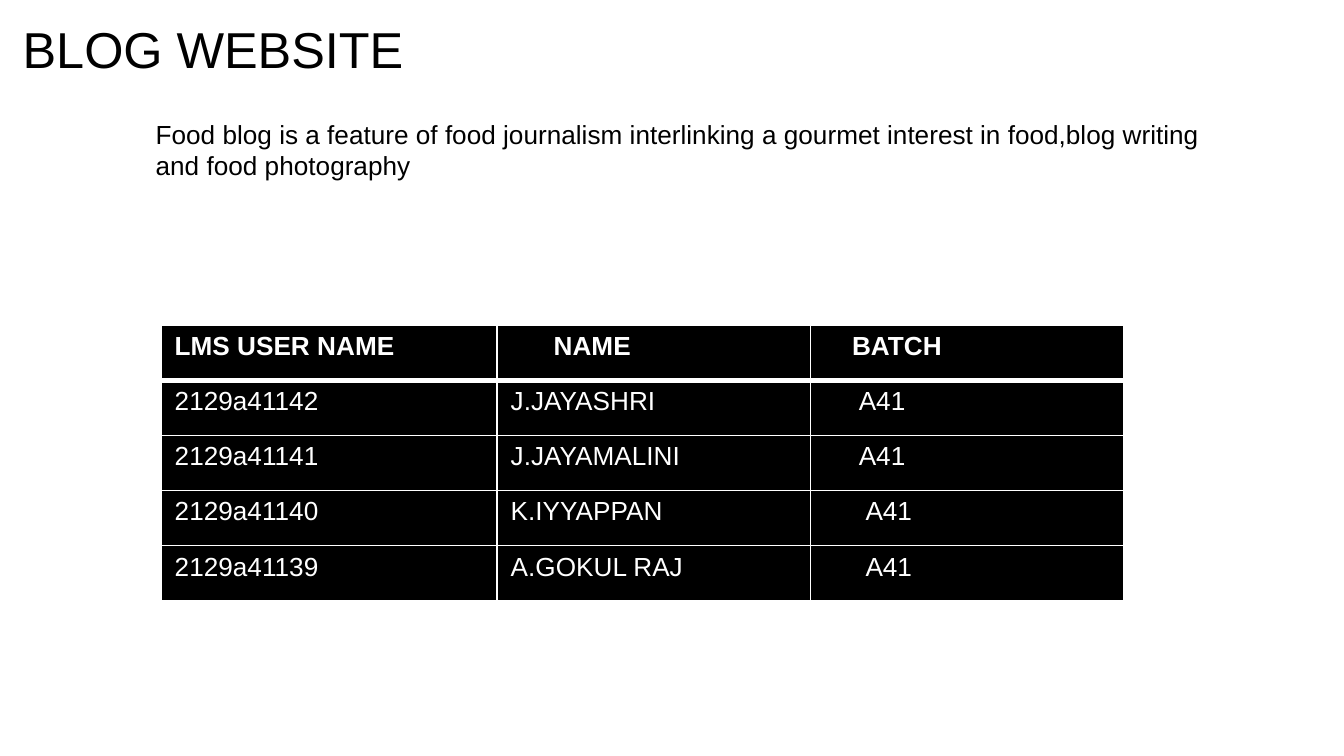
from dataclasses import dataclass

import pptx
import pptx.dml.color
import pptx.enum.text
import pptx.oxml
import pptx.oxml.ns
import pptx.util

Inches = pptx.util.Inches
Pt = pptx.util.Pt
BLACK = pptx.dml.color.RGBColor(0, 0, 0)
WHITE = pptx.dml.color.RGBColor(255, 255, 255)
ANCHOR = pptx.enum.text.MSO_ANCHOR


@dataclass
class TextBlock:
    left: float
    top: float
    width: float
    height: float
    lines: list[str]
    size: int
    anchor: ANCHOR


@dataclass
class Member:
    user: str
    name: str
    batch: str
    batch_inset: float
    name_inset: float = 0.1
    bold: bool = False


BLOCKS = [
    TextBlock(0.07, 0.12, 9.41, 0.48, ["BLOG WEBSITE"], 27, ANCHOR.MIDDLE),
    TextBlock(1.06, 0.83, 9.02, 0.57, [
        "Food blog is a feature of food journalism interlinking a gourmet interest in food,blog writing",
        "and food photography",
    ], 14, ANCHOR.TOP),
]
MEMBERS = [
    Member("LMS USER NAME", "NAME", "BATCH", 0.31, 0.42, True),
    Member("2129a41142", "J.JAYASHRI", "A41", 0.36),
    Member("2129a41141", "J.JAYAMALINI", "A41", 0.36),
    Member("2129a41140", "K.IYYAPPAN", "A41", 0.41),
    Member("2129a41139", "A.GOKUL RAJ", "A41", 0.41),
]
COLUMN_WIDTHS = [2.5, 2.33, 2.33]
ROW_HEIGHT = 0.41


def format_run(r, text: str, size: int, color, bold: bool = False) -> None:
    r.text = text
    for key, value in {"name": "Arial", "size": Pt(size), "bold": bold}.items():
        setattr(r.font, key, value)
    r.font.color.rgb = color


def add_text(s, block: TextBlock) -> None:
    sp = s.shapes.add_textbox(*map(Inches, (block.left, block.top, block.width, block.height)))
    tf = sp.text_frame
    for key, value in {"word_wrap": True, "vertical_anchor": block.anchor}.items():
        setattr(tf, key, value)
    for i, line in enumerate(block.lines):
        p = tf.paragraphs[0] if i == 0 else tf.add_paragraph()
        format_run(p.add_run(), line, block.size, BLACK)


def set_borders(cell, widths: dict[str, int]) -> None:
    props = cell._tc.get_or_add_tcPr()
    for i, (side, width) in enumerate(widths.items()):
        props.insert(i, pptx.oxml.parse_xml(
            f'<a:ln{side} {pptx.oxml.ns.nsdecls("a")} w="{Pt(width)}">'
            f'<a:solidFill><a:srgbClr val="{WHITE}"/></a:solidFill></a:ln{side}>'))


def add_member_table(s, members: list[Member]) -> None:
    table = s.shapes.add_table(
        len(members), len(COLUMN_WIDTHS), Inches(1.2), Inches(2.42),
        Inches(sum(COLUMN_WIDTHS)), Inches(ROW_HEIGHT * len(members))).table
    for column, width in zip(table.columns, COLUMN_WIDTHS):
        column.width = Inches(width)
    for i, member in enumerate(members):
        table.rows[i].height = Inches(ROW_HEIGHT)
        texts = [member.user, member.name, member.batch]
        insets = [0.1, member.name_inset, member.batch_inset]
        for j, (text, inset) in enumerate(zip(texts, insets)):
            cell = table.cell(i, j)
            cell.margin_left = Inches(inset)
            cell.fill.solid()
            cell.fill.fore_color.rgb = BLACK
            set_borders(cell, {"L": 1, "R": 1, "T": 3 if i == 1 else 1, "B": 3 if i == 0 else 1})
            format_run(cell.text_frame.paragraphs[0].add_run(), text, 14, WHITE, member.bold)


prs = pptx.Presentation()
prs.slide_width = Inches(10)
prs.slide_height = prs.slide_width * 9 // 16
s = prs.slides.add_slide(prs.slide_layouts[6])
add_text(s, BLOCKS[0])
add_member_table(s, MEMBERS)
add_text(s, BLOCKS[1])
prs.save("out.pptx")
